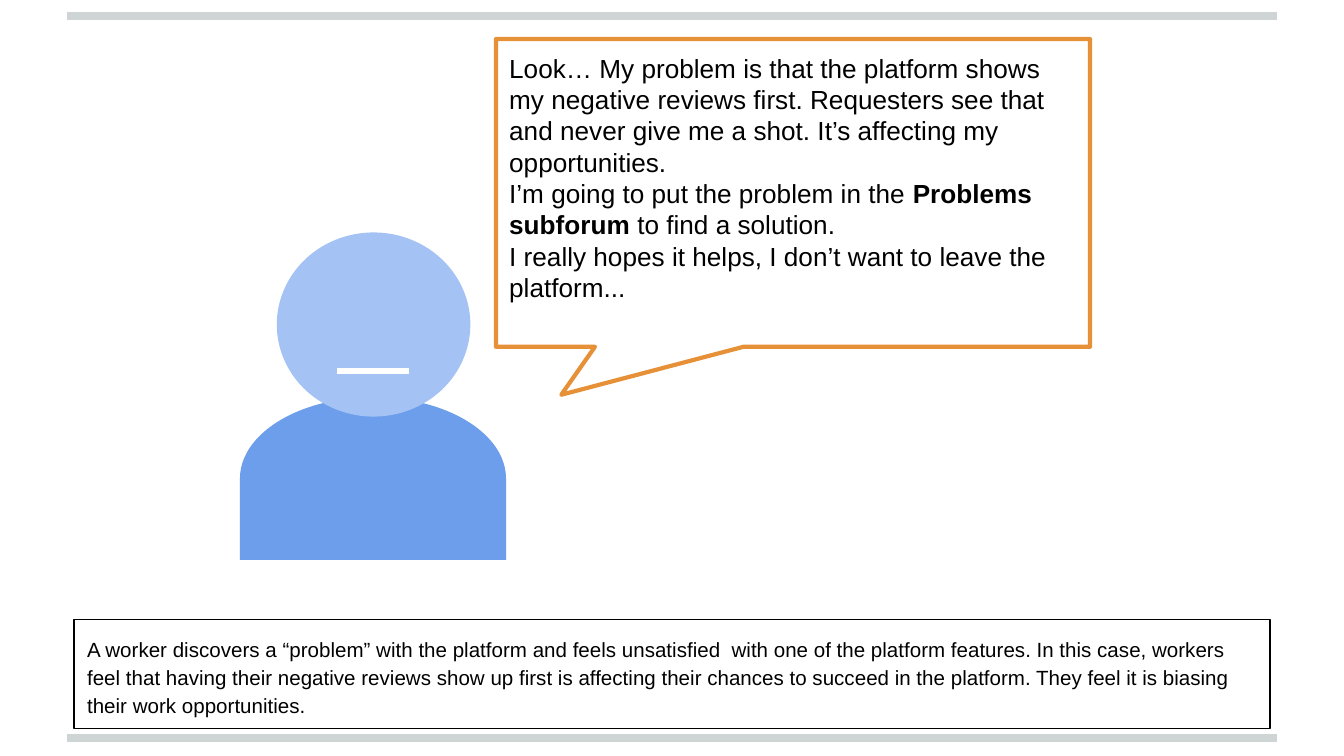
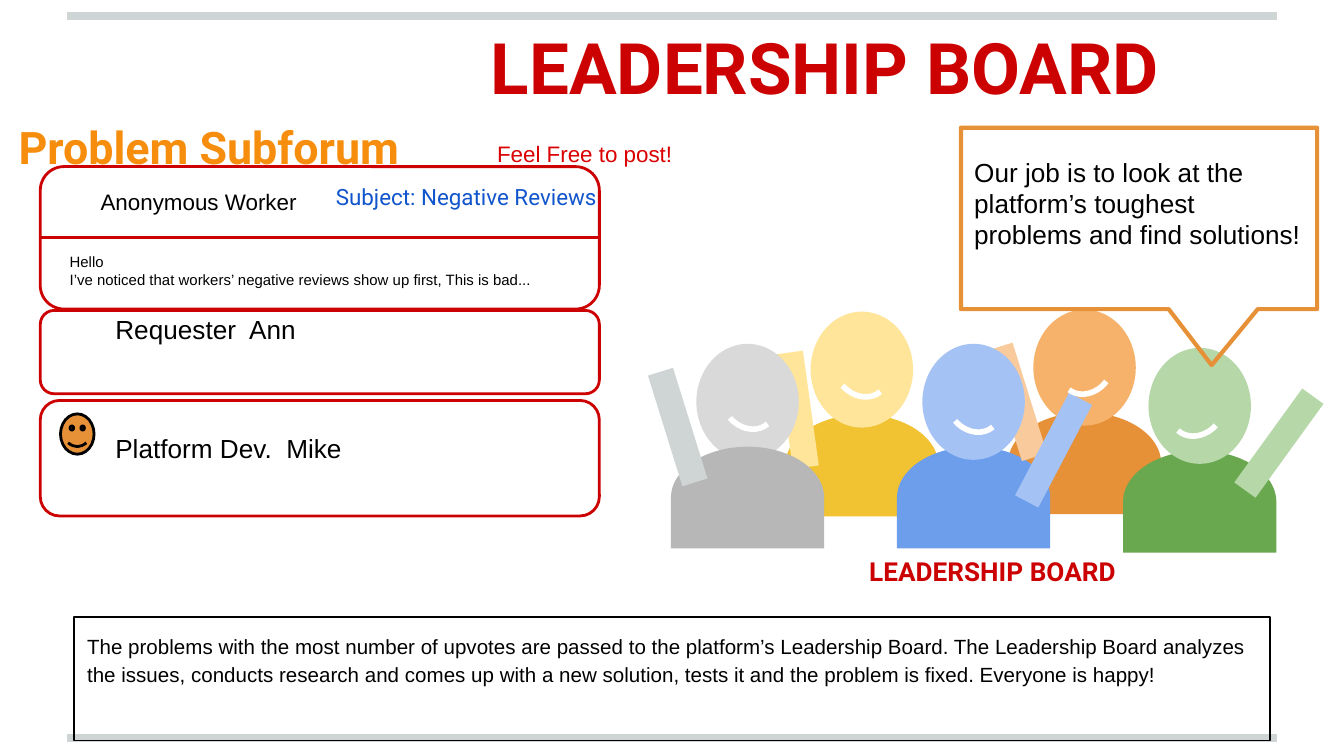
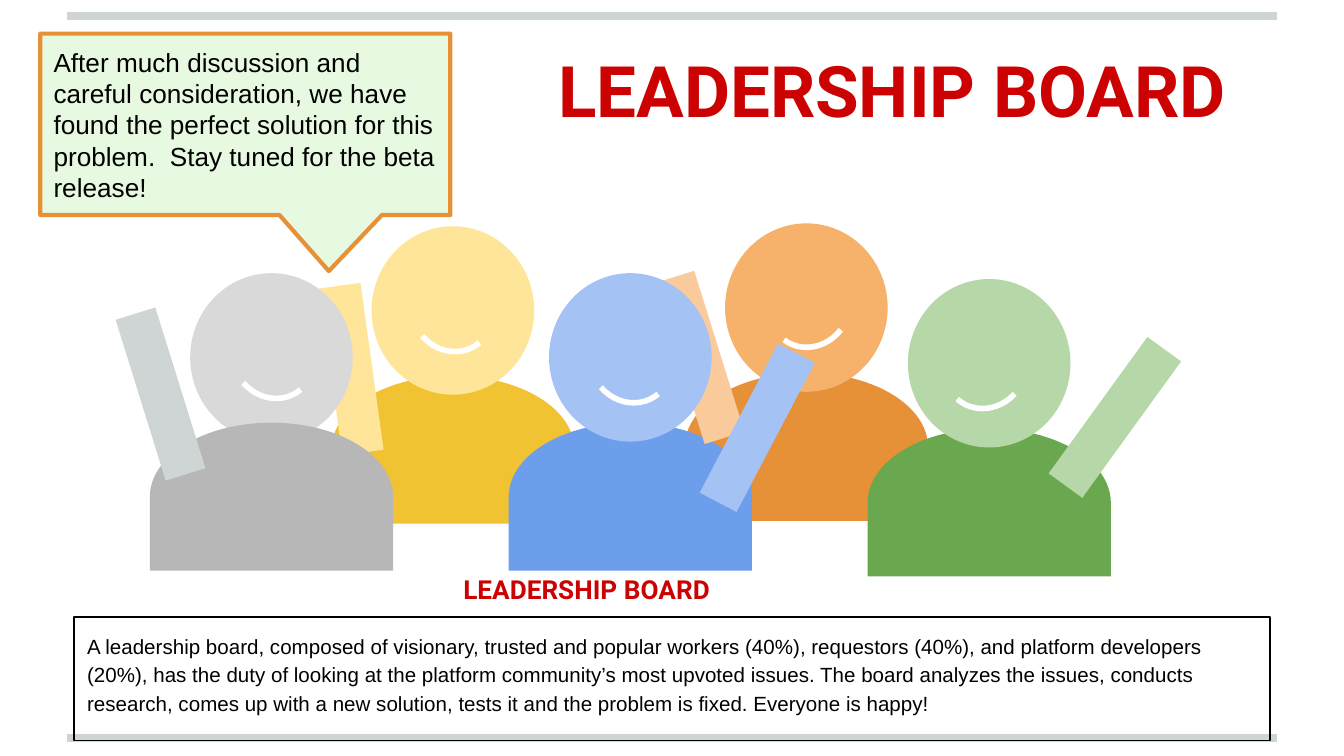
from dataclasses import dataclass

from lxml import etree
from pptx import Presentation
from pptx.dml.color import RGBColor
from pptx.enum.shapes import MSO_CONNECTOR, MSO_SHAPE
from pptx.enum.text import MSO_ANCHOR, PP_ALIGN
from pptx.oxml.ns import qn
from pptx.util import Inches, Pt

STRAIGHT = MSO_CONNECTOR.STRAIGHT
RECT, ROUND, OVAL = MSO_SHAPE.RECTANGLE, MSO_SHAPE.ROUNDED_RECTANGLE, MSO_SHAPE.OVAL
TORSO, ARC, SMILEY = MSO_SHAPE.FLOWCHART_DELAY, MSO_SHAPE.ARC, MSO_SHAPE.SMILEY_FACE
CALLOUT = MSO_SHAPE.ROUNDED_RECTANGULAR_CALLOUT
TOP, MIDDLE = MSO_ANCHOR.TOP, MSO_ANCHOR.MIDDLE
LEFT, CENTER = PP_ALIGN.LEFT, PP_ALIGN.CENTER

BLACK = RGBColor(0x00, 0x00, 0x00)
WHITE = RGBColor(0xFF, 0xFF, 0xFF)
BAND = RGBColor(0xCF, 0xD4, 0xD4)
RED = RGBColor(0xCC, 0x02, 0x02)
BRIGHT_RED = RGBColor(0xDA, 0x00, 0x02)
AMBER = RGBColor(0xF6, 0x8D, 0x0C)
LINK_BLUE = RGBColor(0x11, 0x55, 0xCC)
MINT = RGBColor(0xE7, 0xFA, 0xE1)
ORANGE, LIGHT_ORANGE = RGBColor(0xE6, 0x91, 0x38), RGBColor(0xF6, 0xB2, 0x6B)
PEACH = RGBColor(0xF9, 0xCB, 0x9C)
YELLOW, LIGHT_YELLOW = RGBColor(0xF1, 0xC2, 0x32), RGBColor(0xFF, 0xE5, 0x99)
GREEN, LIGHT_GREEN = RGBColor(0x6A, 0xA8, 0x4F), RGBColor(0xB6, 0xD7, 0xA8)
BLUE, LIGHT_BLUE = RGBColor(0x6D, 0x9E, 0xEB), RGBColor(0xA4, 0xC2, 0xF4)
GRAY, LIGHT_GRAY = RGBColor(0xB7, 0xB7, 0xB7), RGBColor(0xD9, 0xD9, 0xD9)

SANS, DISPLAY = "Arial", "Roboto"
COLS, ROWS = 100, 56.25  # grid cells across and down the slide
CELL = Inches(10) / COLS
BOARD = "LEADERSHIP BOARD"


@dataclass
class Member:
    x: float
    y: float
    shirt: RGBColor
    skin: RGBColor
    arm: tuple
    sleeve: RGBColor
    smile: tuple


MEMBERS = {
    "yellow": Member(33.7, 21.2, YELLOW, LIGHT_YELLOW, (26.15, 25.2, 352.1),
                     LIGHT_YELLOW, (33.6, 21.2, 139.2)),
    "orange": Member(60, 21, ORANGE, LIGHT_ORANGE, (52.05, 24.4, 342.7),
                     PEACH, (60.25, 20.9, 127.3)),
    "green": Member(73.6, 24.8, GREEN, LIGHT_GREEN, (82.95, 28.5, 35.9),
                    LIGHT_GREEN, (73.35, 25.1, 132.3)),
    "blue": Member(46.9, 24.4, BLUE, LIGHT_BLUE, (56.35, 29.2, 27.7),
                   LIGHT_BLUE, (46.9, 24.7, 139.2)),
    "gray": Member(20.2, 24.4, GRAY, LIGHT_GRAY, (11.95, 26.9, 342.7),
                   BAND, (20.3, 24.4, 139.2)),
}
STACKING = ("yellow body, yellow head, orange body, green body, green head, blue body, "
            "orange head, green arm, orange arm, blue head, blue arm, yellow arm, "
            "gray head, gray body, gray arm, gray smile, yellow smile, blue smile, "
            "orange smile, green smile")


def cells(n):
    return round(n * CELL)


def around(x, y, w, h):
    """Box of a given size centred on a point."""
    return x - w / 2, y - h / 2, w, h


class Deck:
    def __init__(self):
        self.prs = Presentation()
        self.prs.slide_width, self.prs.slide_height = cells(COLS), cells(ROWS)
        self.s = None

    def slide(self, title=None, box=None):
        self.s = self.prs.slides.add_slide(self.prs.slide_layouts[5 if title else 6])
        if title:
            sp = self.s.shapes.title
            sp.left, sp.top, sp.width, sp.height = map(cells, box)
            self.fill_text(sp, [[(title, True)]], 38, RED, DISPLAY, CENTER, MIDDLE)

    def bands(self):
        """Put the two gray bands on the slide master, for every slide."""
        for y in (1.2, 54.9):
            band = self.line((5, y), (95, y), BAND, 4)
            self.prs.slide_master.shapes.element.append(band.element)

    def fill_text(self, sp, paragraphs, size, color=BLACK, font=SANS, align=LEFT,
                  anchor=TOP, spacing=1.0, bottom=1):
        """Fill a shape with paragraphs, each a list of (text, bold) runs."""
        tf = sp.text_frame
        tf.word_wrap, tf.vertical_anchor = True, anchor
        tf.margin_left = tf.margin_right = tf.margin_top = cells(1)
        tf.margin_bottom = cells(bottom)
        for i, runs in enumerate(paragraphs):
            p = tf.add_paragraph() if i else tf.paragraphs[0]
            p.alignment, p.line_spacing = align, spacing
            for text, bold in runs:
                r = p.add_run()
                r.text = text
                r.font.name, r.font.size, r.font.bold = font, Pt(size), bold
                r.font.color.rgb = color

    def shape(self, kind, box, fill=None, line=None, width=1, rot=0, into=None):
        sp = (into or self.s).shapes.add_shape(kind, *map(cells, box))
        sp.shadow.inherit = False
        sp.rotation = rot
        if fill is None:
            sp.fill.background()
        else:
            sp.fill.solid()
            sp.fill.fore_color.rgb = fill
        if line is None:
            sp.line.fill.background()
        else:
            sp.line.color.rgb, sp.line.width = line, Pt(width)
        return sp

    def line(self, start, end, color, width):
        ln = self.s.shapes.add_connector(STRAIGHT, *map(cells, start + end))
        ln.line.color.rgb, ln.line.width = color, Pt(width)
        etree.SubElement(ln.element.spPr, qn("a:effectLst"))
        return ln

    def text(self, box, lines, size, color=BLACK, font=SANS, bold=False):
        sp = self.s.shapes.add_textbox(*map(cells, box))
        self.fill_text(sp, [[(line, bold)] for line in lines], size, color, font)

    def callout(self, box, tip, paragraphs, fill=None, bottom=1):
        sp = self.shape(CALLOUT, box, fill, ORANGE, 2.25)
        for i, value in enumerate((*tip, 0)):
            sp.adjustments[i] = value
        self.fill_text(sp, paragraphs, 14, anchor=MIDDLE, bottom=bottom)

    def caption(self, text, top=45.9, height=9.2):
        sp = self.shape(RECT, (5.5, top, 89, height), line=BLACK, width=0.75)
        self.fill_text(sp, [[(text, False)]], 11, spacing=1.15)

    def board_label(self, x, y):
        sp = self.shape(ROUND, (x, y, 34.9, 6.2))
        self.fill_text(sp, [[(BOARD, True)]], 14, RED, DISPLAY, CENTER, MIDDLE)

    def crowd(self, x, y, scale_x, scale_y):
        """Draw the board members as one group, then shift and stretch it."""
        grp = self.s.shapes.add_group_shape()
        for part in STACKING.split(", "):
            name, piece = part.split()
            m = MEMBERS[name]
            if piece == "body":
                self.shape(TORSO, around(m.x, m.y + 9.5, 10.1, 18.1), m.shirt,
                           rot=270, into=grp)
            elif piece == "head":
                self.shape(OVAL, around(m.x, m.y, 12.1, 11.5), m.skin, into=grp)
            elif piece == "arm":
                ax, ay, rot = m.arm
                self.shape(RECT, around(ax, ay, 3.1, 11.5), m.sleeve, rot=rot, into=grp)
            else:
                sx, sy, rot = m.smile
                self.shape(ARC, around(sx, sy, 5.8, 5.8), line=WHITE, width=3,
                           rot=rot, into=grp)
        grp.left = cells(x) + round(grp.left * scale_x)
        grp.top = cells(y) + round(grp.top * scale_y)
        grp.width = round(grp.width * scale_x)
        grp.height = round(grp.height * scale_y)

    def card(self, top, height):
        return self.shape(ROUND, (3, top, 41.6, height), line=RED, width=1.5)


def worker_slide(d):
    d.slide()
    d.bands()
    d.shape(TORSO, around(27.75, 35.6, 12.1, 19.8), BLUE, rot=270)
    d.shape(OVAL, around(27.8, 24.15, 14.4, 13.7), LIGHT_BLUE)
    d.callout((36.9, 2.9, 44.2, 22.9), (-0.39, 0.656), [
        [("Look… My problem is that the platform shows my negative reviews first. "
          "Requesters see that and never give me a shot. It’s affecting my "
          "opportunities.", False)],
        [("I’m going to put the problem in the ", False), ("Problems subforum", True),
         (" to find a solution.", False)],
        [("I really hopes it helps, I don’t want to leave the platform...", False)],
    ], bottom=3.3)
    d.line((25.1, 27.6), (30.4, 27.6), WHITE, 3)
    d.caption("A worker discovers a “problem” with the platform and feels unsatisfied  "
              "with one of the platform features. In this case, workers feel that having "
              "their negative reviews show up first is affecting their chances to succeed "
              "in the platform. They feel it is biasing their work opportunities.",
              46.1, 8.1)


def subforum_slide(d):
    d.slide(BOARD, (24, 0.3, 74.8, 9.2))
    d.caption("The problems with the most number of upvotes are passed to the platform’s "
              "Leadership Board. The Leadership Board analyzes the issues, conducts "
              "research and comes up with a new solution, tests it and the problem is "
              "fixed. Everyone is happy!")
    d.crowd(42.9, 11.6, 0.63, 0.75)
    d.board_label(56.4, 39.4)

    post = d.card(12.4, 10.6)
    d.text((0.4, 7.9, 54, 3), ["Problem Subforum"], 24, AMBER, DISPLAY, True)
    d.text((36, 9.4, 16.6, 2.2), ["Feel Free to post!"], 12, BRIGHT_RED)
    d.text((6.5, 13, 22.9, 3.4), ["Anonymous Worker"], 12)
    d.text((24, 12.6, 24.1, 3.4), ["Subject: Negative Reviews"], 12, LINK_BLUE, DISPLAY)
    d.text((4.2, 18.4, 38.4, 1.4), [
        "Hello",
        "I’ve noticed that workers’ negative reviews show up first, This is bad..."], 8)
    d.card(23.1, 6.2)
    divider = d.line((3, 17.7), (44.6, 17.7), RED, 1.5)
    divider.begin_connect(post, 1)
    divider.end_connect(post, 3)
    d.text((7.6, 22.3, 24.1, 2.6), ["Requester  Ann"], 14)
    d.card(29.8, 8.6)
    d.shape(SMILEY, (4.5, 30.8, 2.5, 3), ORANGE, BLACK, 1.5)
    d.text((7.6, 31.2, 20.6, 2.6), ["Platform Dev.  Mike"], 14)

    d.callout((71.5, 9.5, 26.5, 13.5), (0.204, 0.809), [
        [("Our job is to look at the platform’s toughest problems and find solutions!",
          False)]], bottom=3.3)


def solution_slide(d):
    d.slide(BOARD, (29, 2, 74.8, 9.2))
    d.caption("A leadership board, composed of visionary, trusted and popular workers "
              "(40%), requestors (40%), and platform developers (20%), has the duty of "
              "looking at the platform community’s most upvoted issues. The board analyzes "
              "the issues, conducts research, comes up with a new solution, tests it and "
              "the problem is fixed. Everyone is happy!")
    d.crowd(0, 0, 1, 1.09)
    d.board_label(26.2, 40.7)
    d.callout((3, 2.5, 30.5, 13.5), (0.204, 0.809), [
        [("After much discussion and careful consideration, we have found the perfect "
          "solution for this problem.  Stay tuned for the beta release!", False)]], MINT)


def main():
    d = Deck()
    worker_slide(d)
    subforum_slide(d)
    solution_slide(d)
    d.prs.save("out.pptx")


if __name__ == "__main__":
    main()
